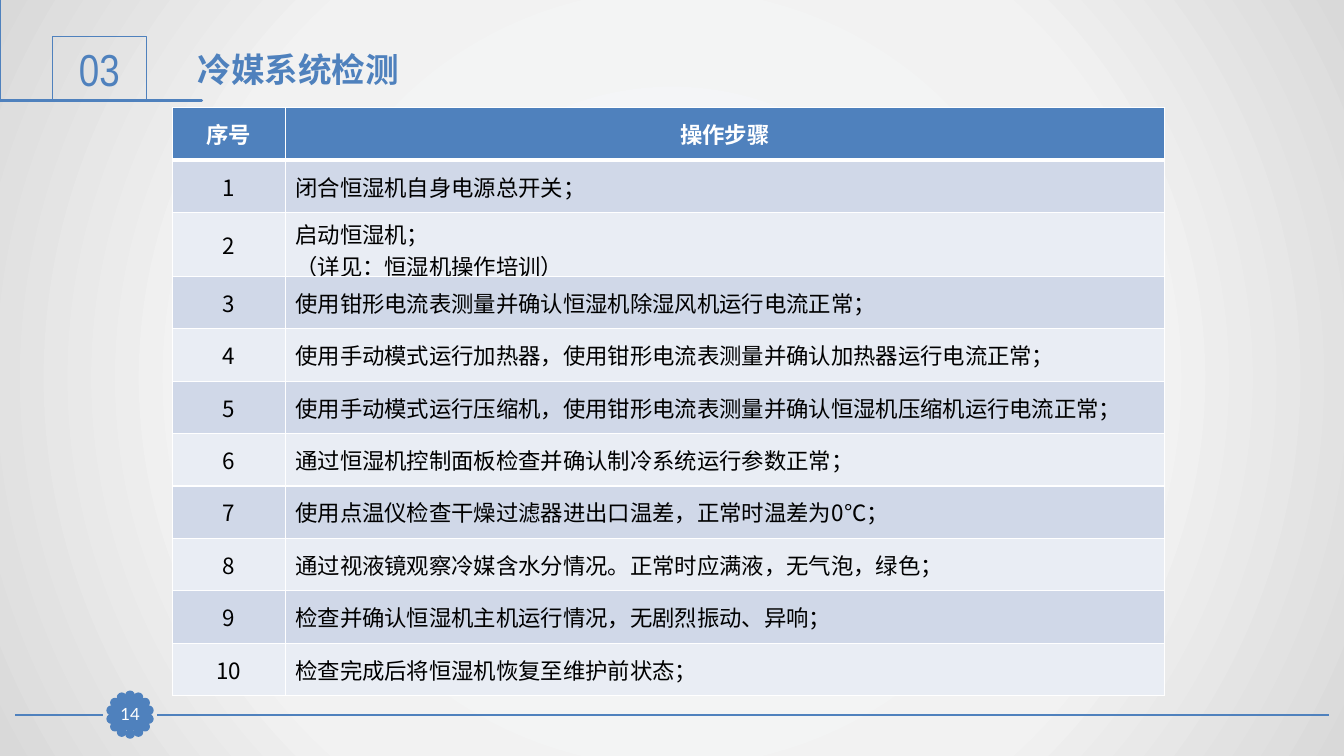
import math

from pptx import Presentation
from pptx import util as u
from pptx.dml.color import RGBColor
from pptx.enum import shapes, text
from pptx.oxml import parse_xml
from pptx.oxml.ns import nsdecls, qn

COLORS = {"blue": "4F81BD", "green": "339933", "white": "FFFFFF", "black": "000000",
          "band_dark": "D0D8E8", "band_light": "E9EDF4"}
BACKDROP = [(0, "F6F9FC"), (63, "F2F2F2"), (100, "D9D9D9")]
CJK = "Noto Sans CJK SC"
CENTER = text.PP_ALIGN.CENTER
MIDDLE = text.MSO_ANCHOR.MIDDLE

STEPS = [
    "闭合恒湿机自身电源总开关；",
    "启动恒湿机；\n（详见：恒湿机操作培训）",
    "使用钳形电流表测量并确认恒湿机除湿风机运行电流正常；",
    "使用手动模式运行加热器，使用钳形电流表测量并确认加热器运行电流正常；",
    "使用手动模式运行压缩机，使用钳形电流表测量并确认恒湿机压缩机运行电流正常；",
    "通过恒湿机控制面板检查并确认制冷系统运行参数正常；",
    "使用点温仪检查干燥过滤器进出口温差，正常时温差为0℃；",
    "通过视液镜观察冷媒含水分情况。正常时应满液，无气泡，绿色；",
    "检查并确认恒湿机主机运行情况，无剧烈振动、异响；",
    "检查完成后将恒湿机恢复至维护前状态；",
]
BOOKMARK = [(0.37, 0.46), (0.38, 0.46), (0.38, 0.92), (1.71, 0.92), (1.71, 0.94),
            (0.36, 0.94), (0.36, 0.48), (0.31, 0.48), (0.31, 0.94), (0.19, 0.94),
            (0.19, 0.46), (0.23, 0.46), (0.23, 0.91), (0.28, 0.91), (0.28, 0.46)]


def rgb(name):
    return RGBColor.from_string(COLORS[name])


class Deck:
    """Holds the presentation, the current slide and its style."""

    def __init__(self):
        self.prs = Presentation()
        self.prs.slide_width, self.prs.slide_height = u.Inches(13.33), u.Inches(7.5)
        self.s = self.prs.slides.add_slide(self.prs.slide_layouts[6])

    def background(self, stops):
        """Radial gradient running from the centre outwards."""
        self.s.background.fill.solid()
        solid = self.s._element.find(".//" + qn("p:bgPr"))[0]
        gs = "".join(f'<a:gs pos="{pos * 1000}"><a:srgbClr val="{color}"/></a:gs>'
                     for pos, color in stops)
        solid.getparent().replace(solid, parse_xml(
            f'<a:gradFill {nsdecls("a")} rotWithShape="1"><a:gsLst>{gs}</a:gsLst>'
            '<a:path path="circle"><a:fillToRect l="50000" t="50000" r="50000" b="50000"/>'
            '</a:path></a:gradFill>'))

    def style(self, sp, fill, width):
        sp.shadow.inherit = False
        if fill:
            sp.fill.solid()
            sp.fill.fore_color.rgb = rgb(fill)
        else:
            sp.fill.background()
        sp.line.color.rgb = rgb("blue")
        sp.line.width = u.Pt(width)
        return sp

    def shape(self, kind, box, fill=None, width=0.75):
        return self.style(self.s.shapes.add_shape(kind, *map(u.Inches, box)), fill, width)

    def freeform(self, points, fill, width):
        builder = self.s.shapes.build_freeform(*points[0], scale=u.Inches(1))
        builder.add_line_segments(points[1:], close=True)
        return self.style(builder.convert_to_shape(), fill, width)

    def line(self, x1, x2, y):
        cn = self.s.shapes.add_connector(shapes.MSO_CONNECTOR.STRAIGHT,
                                         *map(u.Inches, (x1, y, x2, y)))
        cn.line.color.rgb = rgb("blue")
        cn.line.width = u.Pt(1.25)
        cn._element.spPr.append(parse_xml(f'<a:effectLst {nsdecls("a")}/>'))

    def textbox(self, box):
        return self.s.shapes.add_textbox(*map(u.Inches, box))

    def set_text(self, tf, words, size, font, color, bold=False, align=None):
        tf.word_wrap = True
        for i, words_line in enumerate(words.split("\n")):
            p = tf.add_paragraph() if i else tf.paragraphs[0]
            p.add_run().text = words_line
            p.alignment = align
            p.font.size, p.font.bold = u.Pt(size), bold
            p.font.color.rgb = rgb(color)
            p.font.name = font
            latin = p._p.find(".//" + qn("a:latin"))
            latin.addnext(parse_xml(f'<a:ea {nsdecls("a")} typeface="{CJK}"/>'))

    def cell(self, cell, words, fill, color="black", bold=False, align=None,
             top=1, bottom=1):
        self.set_text(cell.text_frame, words, 16, CJK, color, bold, align)
        cell.vertical_anchor = MIDDLE
        cell.fill.solid()
        cell.fill.fore_color.rgb = rgb(fill)
        tc_pr = cell._tc.get_or_add_tcPr()
        for i, (side, width) in enumerate(zip("LRTB", (1, 1, top, bottom))):
            tc_pr.insert(i, parse_xml(
                f'<a:ln{side} {nsdecls("a")} w="{u.Pt(width)}"><a:solidFill>'
                f'<a:srgbClr val="{COLORS["white"]}"/></a:solidFill></a:ln{side}>'))

    def table(self, box, widths, row_height, header, steps):
        frame = self.s.shapes.add_table(len(steps) + 1, len(widths), *map(u.Inches, box))
        table = frame.table
        for column, width in zip(table.columns, widths):
            column.width = u.Inches(width)
        for row in table.rows:
            row.height = u.Inches(row_height)
        frame.height = u.Inches(box[3])
        for c, words in enumerate(header):
            self.cell(table.cell(0, c), words, "blue", "white", True, CENTER, bottom=3)
        for r, step in enumerate(steps, 1):
            fill = "band_dark" if r % 2 else "band_light"
            top = 3 if r == 1 else 1
            self.cell(table.cell(r, 0), str(r), fill, align=CENTER, top=top)
            self.cell(table.cell(r, 1), step, fill, top=top)


def footer(deck, number):
    """Rule across the slide with a scalloped page-number badge."""
    deck.line(13.18, 1.56, 7.09)
    deck.line(1.02, 0.15, 7.09)
    cx, cy, radius, dot, count = 1.29, 7.09, 0.19, 0.07, 14
    for i in range(count):
        angle = 2 * math.pi * i / count
        deck.shape(shapes.MSO_SHAPE.OVAL,
                   (cx + radius * math.sin(angle) - dot / 2,
                    cy - radius * math.cos(angle) - dot / 2, dot, dot), "blue", 2)
    badge = deck.shape(shapes.MSO_SHAPE.RECTANGLE, (1.13, 6.93, 0.32, 0.31), "blue")
    tf = badge.text_frame
    tf.margin_left = tf.margin_right = tf.margin_top = tf.margin_bottom = 0
    tf.vertical_anchor = MIDDLE
    deck.set_text(tf, number, 12, "Lato", "white", align=CENTER)


def heading(deck, number, title):
    deck.freeform(BOOKMARK, "green", 2)
    box = deck.shape(shapes.MSO_SHAPE.RECTANGLE, (0.52, 0.36, 0.93, 0.64))
    box.text_frame.vertical_anchor = MIDDLE
    deck.set_text(box.text_frame, number, 32, "Arial Narrow", "blue", align=CENTER)
    title_box = deck.textbox((1.86, 0.44, 9.69, 0.5))
    deck.set_text(title_box.text_frame, title, 24, "Lato", "blue", bold=True)


def main():
    deck = Deck()
    deck.background(BACKDROP)
    footer(deck, "14")
    heading(deck, "03", "冷媒系统检测")
    deck.table((1.71, 1.07, 9.84, 5.87), (1.12, 8.72), 0.52, ("序号", "操作步骤"), STEPS)
    deck.prs.save("out.pptx")


if __name__ == "__main__":
    main()
